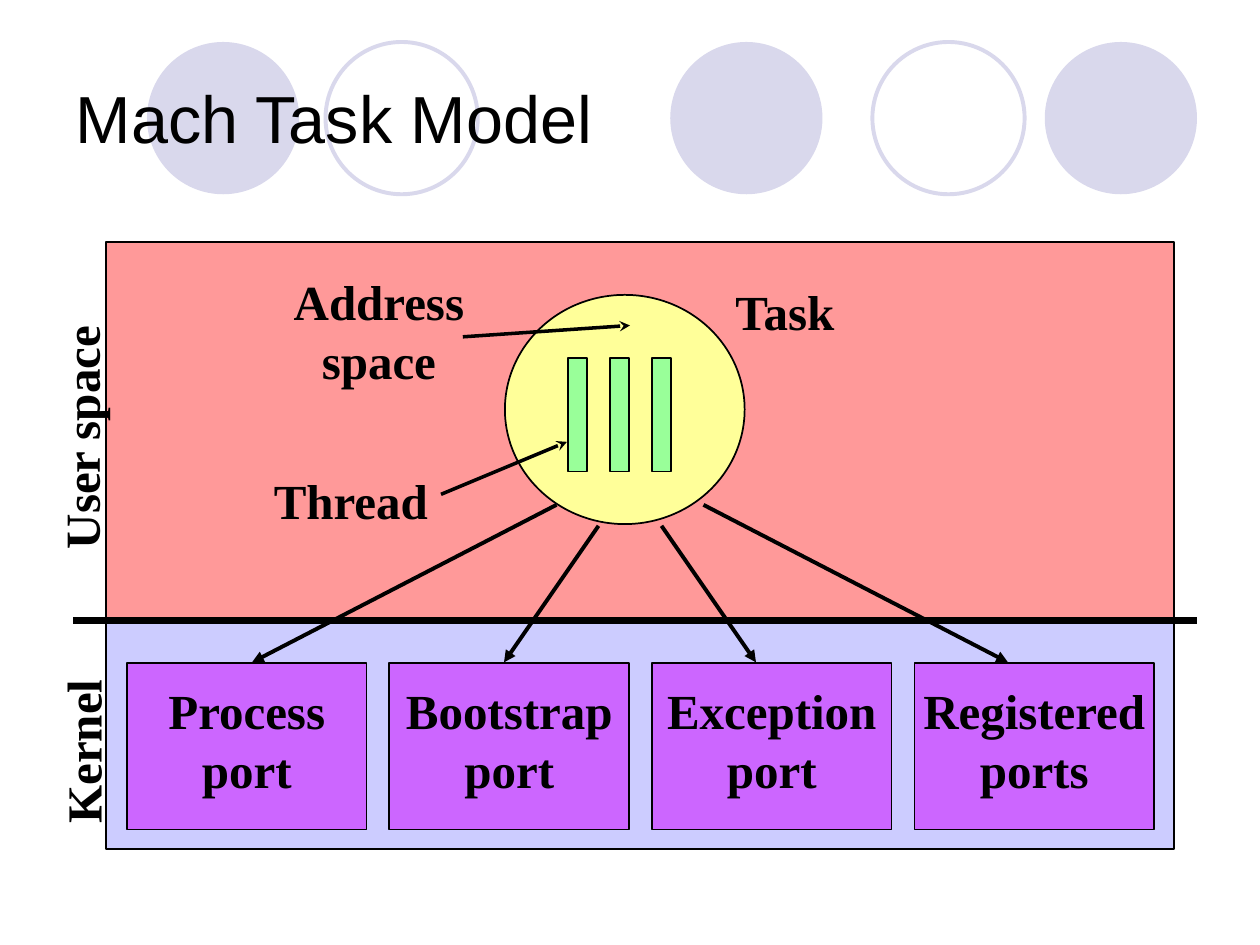
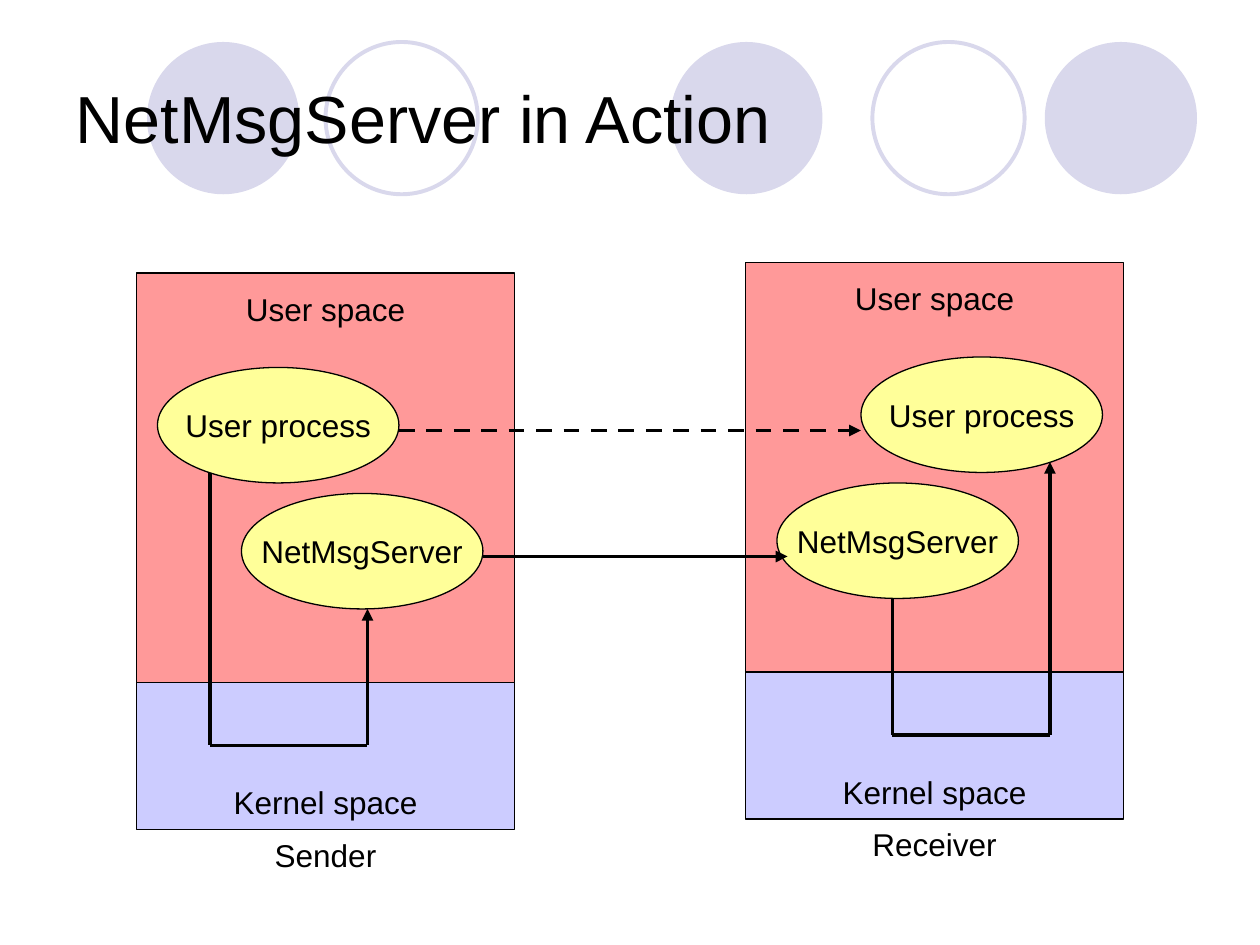
from lxml import etree
from pptx import Presentation
from pptx.dml.color import RGBColor
from pptx.enum.dml import MSO_LINE
from pptx.enum.shapes import MSO_CONNECTOR, MSO_SHAPE
from pptx.enum.text import MSO_ANCHOR, PP_ALIGN
from pptx.oxml.ns import qn
from pptx.util import Pt

RECT, OVAL = MSO_SHAPE.RECTANGLE, MSO_SHAPE.OVAL
STRAIGHT, DASH = MSO_CONNECTOR.STRAIGHT, MSO_LINE.DASH
LEFT, CENTER = PP_ALIGN.LEFT, PP_ALIGN.CENTER
TOP, MIDDLE = MSO_ANCHOR.TOP, MSO_ANCHOR.MIDDLE

BLACK, CIRCLE = "000000", "D9D8EC"
USER, KERNEL, PORT = "FF9999", "CCCCFF", "CC66FF"
PROCESS, THREAD = "FFFF99", "99FF99"
SANS = ("Arial", 18, False)
SERIF = ("Times New Roman", 28, True)
TITLE = ("Arial", 38, False)
TITLE_ONLY = 5


def rgb(value):
    return RGBColor.from_string(value)


def write(sp, text, style, align=CENTER, anchor=MIDDLE, wrap=False):
    tf = sp.text_frame
    tf.text = text
    tf.word_wrap = wrap
    tf.vertical_anchor = anchor
    name, size, bold = style
    for p in tf.paragraphs:
        p.alignment = align
        p.font.name, p.font.size, p.font.bold = name, Pt(size), bold
        p.font.color.rgb = rgb(BLACK)


def shape(slide, kind, x, y, w, h, fill=None, line=BLACK, width=1):
    sp = slide.shapes.add_shape(kind, Pt(x), Pt(y), Pt(w), Pt(h))
    sp.shadow.inherit = False
    if fill:
        sp.fill.solid()
        sp.fill.fore_color.rgb = rgb(fill)
    else:
        sp.fill.background()
    if line:
        sp.line.color.rgb = rgb(line)
        sp.line.width = Pt(width)
    else:
        sp.line.fill.background()
    return sp


def label(slide, text, cx, y, w, h, style, rotation=0):
    """Text box centred on cx."""
    sp = slide.shapes.add_textbox(Pt(cx - w / 2), Pt(y), Pt(w), Pt(h))
    sp.rotation = rotation
    write(sp, text, style, anchor=TOP)


def connect(slide, x1, y1, x2, y2, width=2.25, tip=None, dash=None):
    c = slide.shapes.add_connector(STRAIGHT, Pt(x1), Pt(y1), Pt(x2), Pt(y2))
    c.line.color.rgb = rgb(BLACK)
    c.line.width = Pt(width)
    if dash:
        c.line.dash_style = dash
    sppr = c._element.spPr
    if tip:
        etree.SubElement(sppr.find(qn("a:ln")), qn("a:tailEnd"), type=tip)
    etree.SubElement(sppr, qn("a:effectLst"))


def new_slide(prs, title):
    slide = prs.slides.add_slide(prs.slide_layouts[TITLE_ONLY])
    # Row of circles behind the title
    for x in (383, 597, 84):
        shape(slide, OVAL, x, 24, 87, 87, CIRCLE, None)
    for x in (498.5, 186):
        shape(slide, OVAL, x, 24, 87, 87, None, CIRCLE, 2.25)
    sp = slide.shapes.title
    slide.shapes._spTree.append(sp._element)
    sp.left, sp.top, sp.width, sp.height = Pt(36), Pt(21.6), Pt(648), Pt(90)
    write(sp, title, TITLE, LEFT, wrap=True)
    return slide


def kernel_area(slide, x, y, w, h):
    shape(slide, RECT, x, y, w, h, KERNEL)
    ports = ("Process\nport", "Bootstrap\nport", "Exception\nport", "Registered\nports")
    for i, text in enumerate(ports):
        sp = shape(slide, RECT, x + 12 + 150 * i, y + 25, 137, 95, PORT)
        write(sp, text, SERIF, anchor=TOP)
        sp.text_frame.margin_top = Pt(10)
    label(slide, "Kernel", x - 13.5, y + 55, 97, 41, SERIF, 270)


def user_area(slide, x, y, w, h):
    shape(slide, RECT, x, y, w, h, USER)
    # Task with its threads
    shape(slide, OVAL, x + 228, y + 30, 137, 131, PROCESS)
    for i in range(3):
        shape(slide, RECT, x + 264 + 24 * i, y + 66, 11, 65, THREAD)
    # Labels and their pointers
    label(slide, "Address\nspace", x + 156, y + 13, 112, 75, SERIF)
    label(slide, "Thread", x + 140, y + 127, 103, 41, SERIF)
    label(slide, "Task", x + 388, y + 19, 73, 41, SERIF)
    label(slide, "User space", x - 14.5, y + 91, 143, 41, SERIF, 270)
    connect(slide, x + 204, y + 54, x + 299.5, y + 47.5, 2, "stealth")
    connect(slide, x + 191.5, y + 144, x + 263.5, y + 114, 2, "stealth")


def task_model(slide, x, y, w, h):
    user_h = 215.5
    kernel_area(slide, x, y + user_h, w, h - user_h)
    user_area(slide, x, y, w, user_h)
    connect(slide, x - 18.5, y + 216, x + w + 13, y + 216, 4)
    # Task to its ports
    starts = ((257.5, 150), (281.5, 162), (317.5, 162), (341.5, 150))
    for i, (dx, dy) in enumerate(starts):
        connect(slide, x + dx, y + dy, x + 83.5 + 144 * i, y + 240, tip="triangle")


def host(slide, name, x, y, w=216, mirrored=False):
    user_h, kernel_h, oval_w, oval_h = 234, 84, 138, 66
    shape(slide, RECT, x, y, w, user_h, USER, width=0.75)
    shape(slide, RECT, x, y + user_h, w, kernel_h, KERNEL, width=0.75)
    for text, dy in (("User space", 6), ("Kernel space", 288), (name, 318)):
        label(slide, text, x + w / 2, y + dy, 120, 29, SANS)

    # Processes
    for text, dx, dy in (("User process", 12, 54), ("NetMsgServer", 60, 126)):
        if mirrored:
            dx = w - dx - oval_w
        sp = shape(slide, OVAL, x + dx, y + dy, oval_w, oval_h, PROCESS, width=0.75)
        write(sp, text, SANS)

    # Path through the kernel
    route = [(42, 114), (42, 270), (132, 270), (132, 192)]
    if mirrored:
        route = [(w - dx, dy) for dx, dy in reversed(route)]
    for i, ((x1, y1), (x2, y2)) in enumerate(zip(route, route[1:])):
        connect(slide, x + x1, y + y1, x + x2, y + y2,
                tip="triangle" if i == 2 else None)


def message_passing(slide, x, y):
    host(slide, "Sender", x, y + 6)
    host(slide, "Receiver", x + 348, y, mirrored=True)
    # Apparent and actual message
    connect(slide, x + 150, y + 96, x + 414, y + 96, tip="triangle", dash=DASH)
    connect(slide, x + 198, y + 168, x + 372, y + 168, tip="triangle")


def main():
    prs = Presentation()
    prs.slide_width, prs.slide_height = Pt(720), Pt(540)
    task_model(new_slide(prs, "Mach Task Model"), 60.5, 138.5, 610.5, 346.5)
    message_passing(new_slide(prs, "NetMsgServer in Action"), 78, 150)
    prs.save("out.pptx")


if __name__ == "__main__":
    main()
